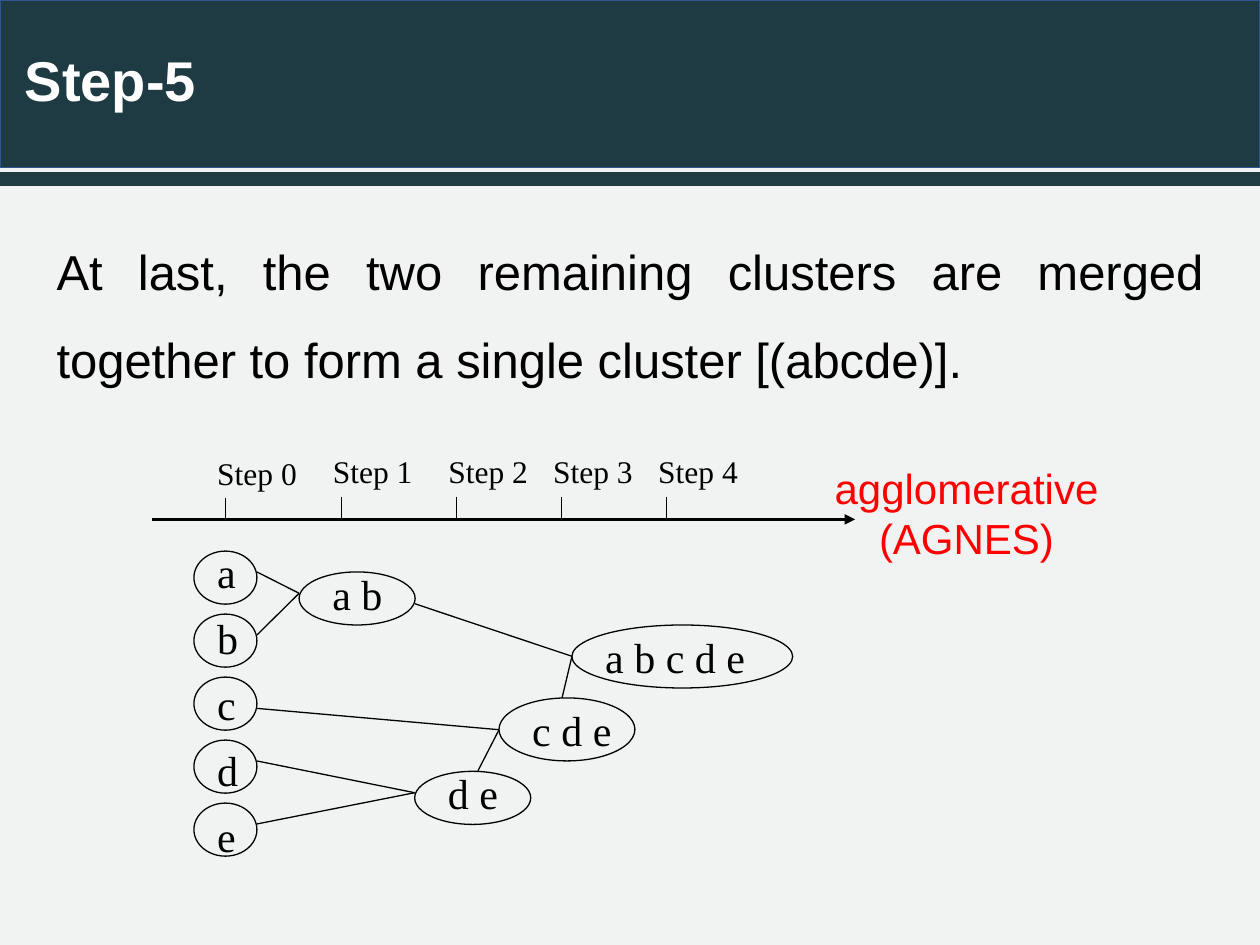
import pptx
import pptx.dml.color
import pptx.enum.shapes
import pptx.enum.text
import pptx.oxml
import pptx.oxml.ns
import pptx.util
from pptx.util import Cm

RGBColor = pptx.dml.color.RGBColor
Shapes = pptx.enum.shapes.MSO_SHAPE
Align = pptx.enum.text.PP_ALIGN
Anchor = pptx.enum.text.MSO_ANCHOR

BACKGROUND = RGBColor(0xF1, 0xF3, 0xF3)
TEAL = RGBColor(0x1E, 0x3A, 0x42)
BLUE = RGBColor(0x32, 0x54, 0x91)
WHITE = RGBColor(0xFF, 0xFF, 0xFF)
BLACK = RGBColor(0, 0, 0)
RED = RGBColor(0xFF, 0, 0)
SANS = "Arial"
SERIF = "Times New Roman"

STEP_POSITIONS = [1.48, 3.81, 6.14, 8.25, 10.37]
CLUSTERS = [
    ("a b", 2.96, 2.54, 2.34, 1.07, -0.2),
    ("d e", 5.29, 6.56, 2.34, 1.07, -0.2),
    ("c d e", 6.99, 5.08, 2.74, 1.27, 0),
    ("a b c d e", 8.46, 3.61, 4.45, 1.27, 0),
]
BRANCHES = [
    (2.11, 2.54, 2.96, 2.97),
    (2.11, 3.81, 2.96, 2.97),
    (2.11, 6.35, 5.29, 6.99),
    (2.11, 7.62, 5.29, 6.99),
    (2.11, 5.29, 6.99, 5.72),
    (6.56, 6.56, 6.99, 5.72),
    (5.29, 3.18, 8.46, 4.24),
    (8.26, 5.08, 8.46, 4.24),
]


def add_text(slide, box, lines, size, font_name, color, align=Align.LEFT,
             spacing=1.0, wrap=True, anchor=Anchor.TOP, bold=False):
    frame = slide.shapes.add_textbox(*map(Cm, box)).text_frame
    frame.word_wrap = wrap
    frame.vertical_anchor = anchor
    for index, line in enumerate(lines):
        paragraph = frame.add_paragraph() if index else frame.paragraphs[0]
        paragraph.text = line
        paragraph.alignment = align
        paragraph.line_spacing = spacing
        paragraph.font.name = font_name
        paragraph.font.size = pptx.util.Pt(size)
        paragraph.font.bold = bold
        paragraph.font.color.rgb = color


def add_shape(slide, kind, box, fill=None, line=None, width=0.75):
    shape = slide.shapes.add_shape(kind, *map(Cm, box))
    shape.shadow.inherit = False
    if fill is None:
        shape.fill.background()
    else:
        shape.fill.solid()
        shape.fill.fore_color.rgb = fill
    if line is None:
        shape.line.fill.background()
    else:
        shape.line.color.rgb = line
        shape.line.width = pptx.util.Pt(width)


def add_line(slide, start_x, start_y, end_x, end_y, width=0.75, arrow=False):
    connector = slide.shapes.add_connector(
        pptx.enum.shapes.MSO_CONNECTOR.STRAIGHT,
        Cm(start_x), Cm(start_y), Cm(end_x), Cm(end_y))
    connector.line.color.rgb = BLACK
    connector.line.width = pptx.util.Pt(width)
    properties = connector.element.spPr
    if arrow:
        tail = pptx.oxml.ns.qn("a:tailEnd")
        line = properties.find(pptx.oxml.ns.qn("a:ln"))
        line.append(line.makeelement(tail, {"type": "triangle"}))
    properties.append(properties.makeelement(pptx.oxml.ns.qn("a:effectLst"), {}))


def add_header(slide, left, top, width, height):
    add_shape(slide, Shapes.RECTANGLE, (left, top, width, height), TEAL, BLUE, 1)
    add_shape(slide, Shapes.RECTANGLE, (left, top + height + 0.09, width, 0.28), TEAL)
    add_text(slide, (left + 0.25, top, width - 0.25, height), ["Step-5"], 32, SANS,
             WHITE, spacing=0.9, anchor=Anchor.MIDDLE, bold=True)


def add_body(slide, left, top, width, height):
    add_text(slide, (left, top, width, height),
             ["At last, the two remaining clusters are merged together "
              "to form a single cluster [(abcde)]."],
             28, SANS, BLACK, align=Align.JUSTIFY, spacing=1.5)


def add_timeline(slide, left, top, width):
    axis = top + 1.48
    add_line(slide, left, axis, left + width, axis, 1.5, arrow=True)
    for step, position in enumerate(STEP_POSITIONS):
        x = left + position
        y = top + (0.04 if step == 0 else 0)
        add_line(slide, x, y + 1.02, x, y + 1.45)
        add_text(slide, (x - 0.42, y, 2.11, 1.02), [f"Step {step}"], 18, SERIF, BLACK)
    add_text(slide, (left + 13.42, top + 0.2, 5.99, 2.31), ["agglomerative", "(AGNES)"],
             24, SANS, RED, align=Align.CENTER, wrap=False)


def add_tree(slide, left, top):
    for row, letter in enumerate("abcde"):
        add_text(slide, (left + 1.06, top + 1.9 + 1.33 * row, 0.9, 1.27), [letter],
                 24, SERIF, BLACK, wrap=False)
        add_shape(slide, Shapes.OVAL,
                  (left + 0.84, top + 2.12 + 1.27 * row, 1.27, 1.07), line=BLACK)
    for label, x, y, width, height, shift in CLUSTERS:
        add_text(slide, (left + x + 0.42, top + y + shift, width - 0.42, 1.27), [label],
                 24, SERIF, BLACK, wrap=False)
        add_shape(slide, Shapes.OVAL, (left + x, top + y, width, height), line=BLACK)
    for start_x, start_y, end_x, end_y in BRANCHES:
        add_line(slide, left + start_x, top + start_y, left + end_x, top + end_y)


def main():
    presentation = pptx.Presentation()
    presentation.slide_width = Cm(25.4)
    presentation.slide_height = Cm(19.05)
    slide = presentation.slides.add_slide(presentation.slide_layouts[6])
    slide.background.fill.solid()
    slide.background.fill.fore_color.rgb = BACKGROUND
    add_header(slide, 0, 0, 25.4, 3.38)
    add_body(slide, 0.89, 4.15, 23.62, 14.4)
    add_timeline(slide, 3.07, 8.99, 14.17)
    add_tree(slide, 3.07, 8.99)
    presentation.save("out.pptx")


if __name__ == "__main__":
    main()
